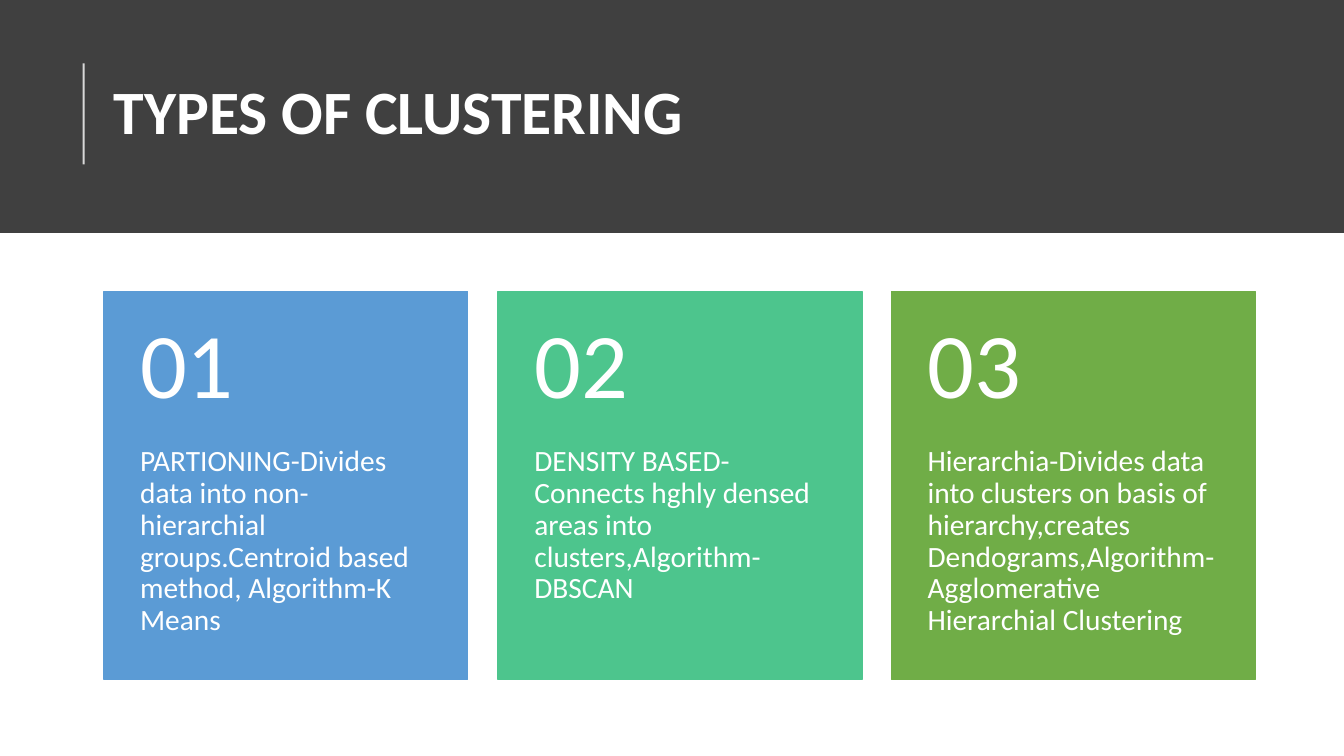
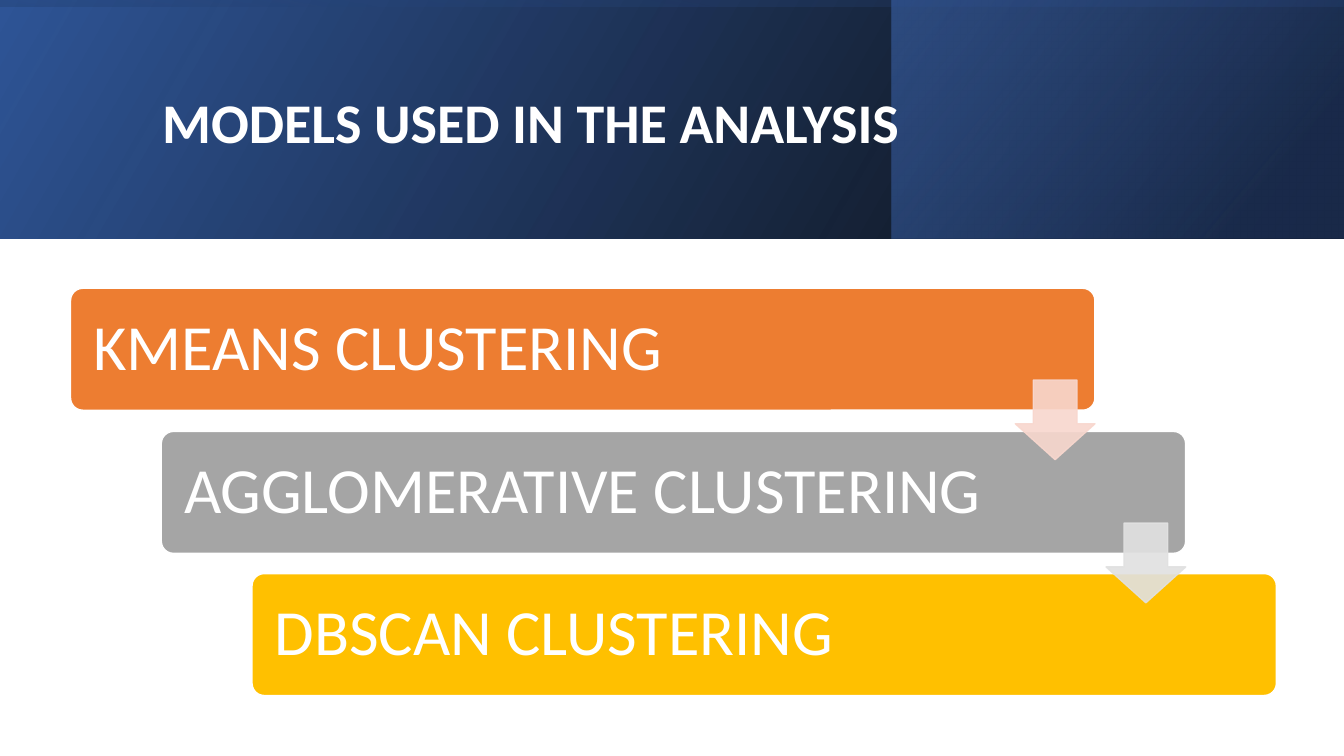
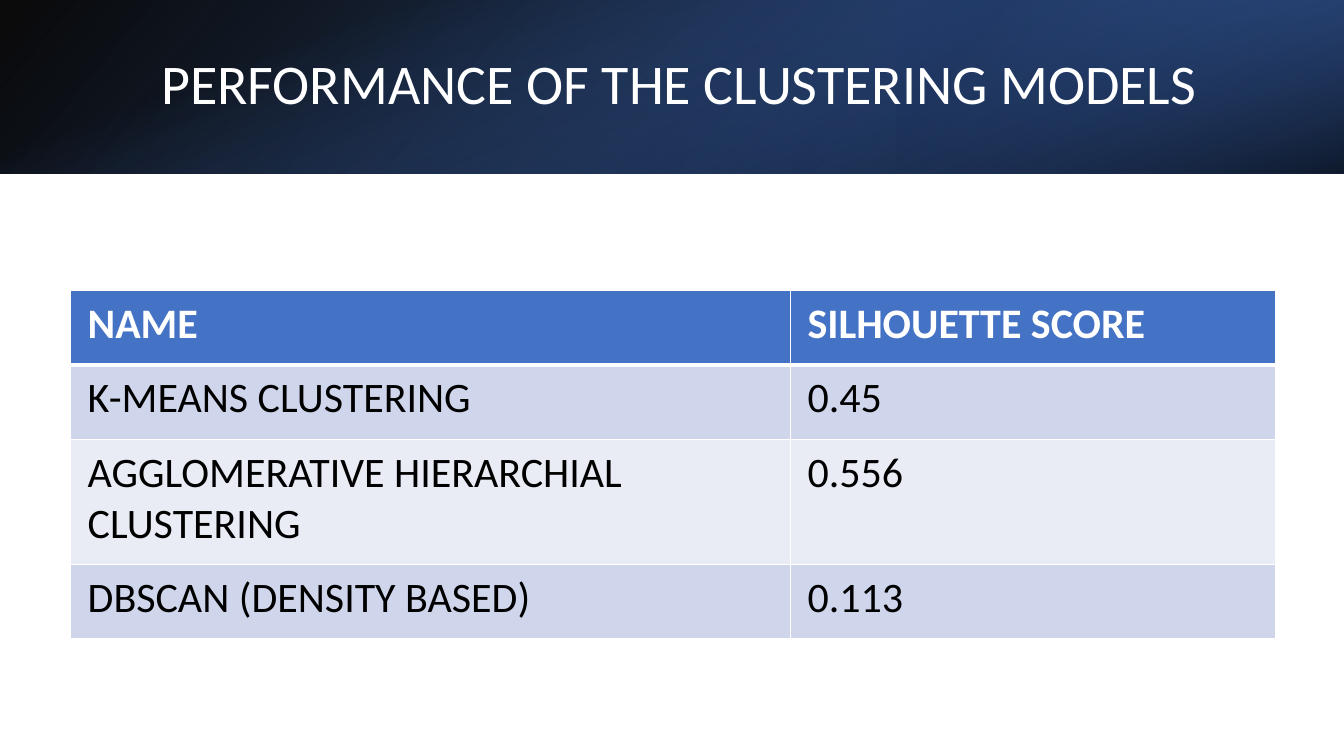
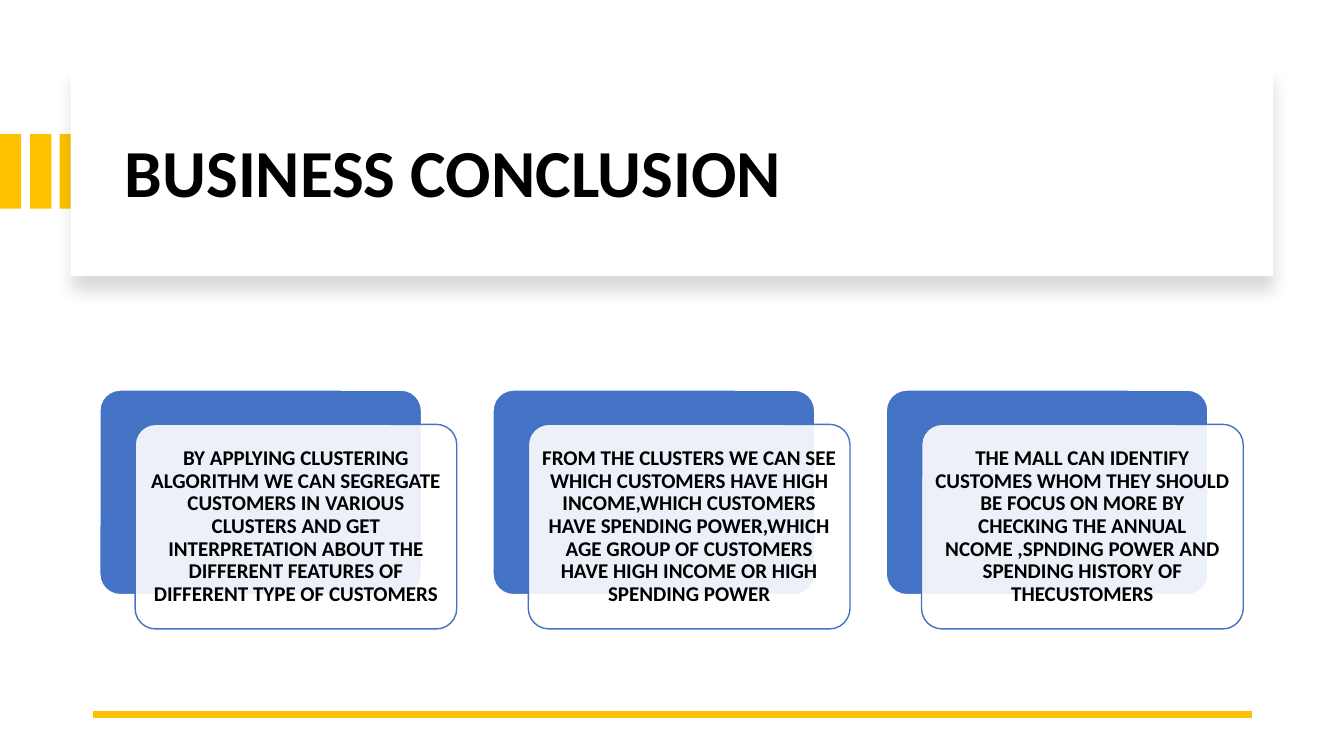
from lxml import etree
from pptx import Presentation
from pptx import util as u
from pptx.dml.color import RGBColor
from pptx.enum import shapes, text
from pptx.oxml.ns import qn

PX = 9144  # one hundredth of an inch
WIDE, HIGH = 1333, 750
FONT = "Calibri"
KIND = shapes.MSO_SHAPE

WHITE = RGBColor(0xFF, 0xFF, 0xFF)
BLACK = RGBColor(0x00, 0x00, 0x00)
COAL = RGBColor(0x40, 0x40, 0x40)
SKY = RGBColor(0x5B, 0x9B, 0xD5)
MINT = RGBColor(0x4D, 0xC5, 0x8D)
LEAF = RGBColor(0x70, 0xAD, 0x47)
BLUE = RGBColor(0x44, 0x72, 0xC4)
DEEP = RGBColor(0x2F, 0x55, 0x97)
NAVY = RGBColor(0x20, 0x38, 0x64)
RUST = RGBColor(0xED, 0x7D, 0x31)
GRAY = RGBColor(0xA5, 0xA5, 0xA5)
GOLD = RGBColor(0xFF, 0xC0, 0x00)
BLUSH = RGBColor(0xF8, 0xD7, 0xCE)
MIST = RGBColor(0xE1, 0xE1, 0xE1)
BAND = RGBColor(0xCF, 0xD5, 0xEA)
PALE = RGBColor(0xE9, 0xEB, 0xF5)


def emu(box):
    return [round(v * PX) for v in box]


def spread(start, total, part, count=3):
    """Starts of equal parts that fill a total length."""
    step = (total - part) / (count - 1)
    return [round(start + i * step) for i in range(count)]


def fade(item, *parts):
    """Set the opacity, in percent, of each colour of an item in turn."""
    for clr, part in zip(item._element.spPr.iter(qn("a:srgbClr")), parts):
        etree.SubElement(clr, qn("a:alpha"), val=str(part * 1000))


def shape(slide, box, fill=None, line=None, kind=KIND.RECTANGLE, adj=()):
    item = slide.shapes.add_shape(kind, *emu(box))
    item.shadow.inherit = False
    if fill is not None:
        item.fill.solid()
        item.fill.fore_color.rgb = fill
    if line is None:
        item.line.fill.background()
    else:
        item.line.color.rgb = line
        item.line.width = u.Pt(1)
    for i, val in enumerate(adj):
        item.adjustments[i] = val
    return item


def blend(slide, box, stops, angle, turn=0, flip=True):
    """Rectangle with a gradient of (place, colour, opacity) stops."""
    item = shape(slide, box)
    item.fill.gradient()
    item.fill.gradient_angle = 360 - angle
    for stop, (place, color, _) in zip(item.fill.gradient_stops, stops):
        stop.position = place / 100
        stop.color.rgb = color
    fade(item, *[part for _, _, part in stops])
    item.rotation = turn
    if flip:
        item._element.spPr.xfrm.set("flipH", "1")


def rule(slide, start, end, color, width):
    item = slide.shapes.add_connector(
        shapes.MSO_CONNECTOR.STRAIGHT, *emu(start + end))
    item.line.color.rgb = color
    item.line.width = u.Pt(width)
    etree.SubElement(item._element.spPr, qn("a:effectLst"))
    return item


def style(para, size, color, bold=False):
    for run in para.runs:
        run.font.name = FONT
        run.font.size = u.Pt(size)
        run.font.bold = bold
        run.font.color.rgb = color


def inset(host, margins):
    (host.margin_left, host.margin_top,
     host.margin_right, host.margin_bottom) = emu(margins)


def write(item, words, size, color=WHITE, bold=False, margins=(10, 5, 10, 5),
          anchor=text.MSO_ANCHOR.MIDDLE, align=text.PP_ALIGN.LEFT):
    frame = item.text_frame
    frame.word_wrap = True
    frame.vertical_anchor = anchor
    inset(frame, margins)
    frame.text = words
    para = frame.paragraphs[0]
    para.alignment = align
    para.line_spacing = 0.9
    style(para, size, color, bold)


def label(slide, box, words, size, **look):
    write(slide.shapes.add_textbox(*emu(box)), words, size, **look)


def card(slide, box, num, words, color):
    x, y, w, h = box
    top = round(h * 0.4)
    shape(slide, box, color, color)
    label(slide, (x, y + top, w, h - top), words, 21,
          margins=(36, 0, 36, 36), anchor=text.MSO_ANCHOR.TOP)
    label(slide, (x, y, w, top), num, 66, margins=(36, 18, 36, 18))


def types(slide):
    shape(slide, (0, 0, WIDE, 231), COAL)
    label(slide, (103, 41, 1142, 145), "TYPES OF CLUSTERING", 44, bold=True)
    fade(rule(slide, (83, 163), (83, 63), WHITE, 1.5), 80)
    cards = [
        ("PARTIONING-Divides data into non-hierarchial groups."
         "Centroid based method, Algorithm-K Means", SKY),
        ("DENSITY BASED-Connects hghly densed areas into clusters,"
         "Algorithm-DBSCAN", MINT),
        ("Hierarchia-Divides data into clusters on basis of hierarchy,"
         "creates Dendograms,Algorithm-Agglomerative Hierarchial Clustering",
         LEAF),
    ]
    lefts = spread(103, 1142, 361)
    for i, (x, (words, color)) in enumerate(zip(lefts, cards), 1):
        card(slide, (x, 289, 361, 385), f"{i:02}", words, color)


def header(slide, high, side, angle, last, cover, turn, tilt, flip):
    """Band of three gradients: base, right side and a turned cover."""
    blend(slide, (0, 0, WIDE, high), [(0, BLACK, 96), (100, DEEP, 100)], angle)
    blend(slide, (side, 0, WIDE - side, high),
          [(19, NAVY, 68), (100, BLUE, last)], 320, 0 if flip else 180)
    shift = (WIDE - high) / 2
    blend(slide, (shift, -shift, high, WIDE), cover, tilt, turn, flip)


def steps(slide, box):
    x, y, w, h = box
    wide, high = 1016, 121
    bars = [("KMEANS CLUSTERING", RUST),
            ("AGGLOMERATIVE CLUSTERING", GRAY),
            ("DBSCAN CLUSTERING", GOLD)]
    spots = list(zip(spread(x, w, wide), spread(y, h, high)))
    for (left, top), (words, color) in zip(spots, bars):
        bar = shape(slide, (left, top, wide, high), color, WHITE,
                    KIND.ROUNDED_RECTANGLE, [0.1])
        write(bar, words, 46, margins=(19, 19, 19, 19))
    for (left, top), color in zip(spots, (BLUSH, MIST)):
        arrow = shape(slide, (left + wide - 79, top + 91, 79, 79), color,
                      color, KIND.DOWN_ARROW, [0.55, 0.45])
        fade(arrow, 90, 90)


def models(slide):
    header(slide, 237, 884, 330, 48,
           [(23, DEEP, 16), (99, BLACK, 45)], 270, 350, True)
    label(slide, (151, 38, 1063, 172), "MODELS USED IN THE ANALYSIS", 40,
          bold=True)
    steps(slide, (70, 286, 1196, 404))


def border(cell, low):
    props = cell._tc.get_or_add_tcPr()
    for side, width in (("L", 1), ("R", 1), ("T", 1), ("B", low)):
        line = etree.SubElement(props, qn("a:ln" + side),
                                w=str(u.Pt(width)))
        fill = etree.SubElement(line, qn("a:solidFill"))
        etree.SubElement(fill, qn("a:srgbClr"), val=str(WHITE))


def scores(slide, box):
    rows = [("NAME", "SILHOUETTE SCORE"),
            ("K-MEANS CLUSTERING", "0.45"),
            ("AGGLOMERATIVE HIERARCHIAL CLUSTERING", "0.556"),
            ("DBSCAN (DENSITY BASED)", "0.113")]
    table = slide.shapes.add_table(len(rows), 2, *emu(box)).table
    for col, wide in zip(table.columns, emu((714, 481))):
        col.width = wide
    for row, high in zip(table.rows, emu((74, 74, 124, 74))):
        row.height = high
    for r, row in enumerate(rows):
        head = r == 0
        for c, words in enumerate(row):
            cell = table.cell(r, c)
            border(cell, 3 if head else 1)
            cell.fill.solid()
            cell.fill.fore_color.rgb = BLUE if head else (PALE, BAND)[r % 2]
            inset(cell, (17, 8, 17, 8))
            cell.text_frame.text = words
            style(cell.text_frame.paragraphs[0], 30,
                  WHITE if head else BLACK, head)


def results(slide):
    header(slide, 172, 889, 140, 79,
           [(23, BLUE, 0), (99, BLACK, 74)], 90, 340, False)
    label(slide, (150, 38, 1098, 96),
          "PERFORMANCE OF THE CLUSTERING MODELS", 40)
    scores(slide, (70, 288, 1195, 346))


def panel(slide, box):
    """White plate with a soft shadow below it."""
    item = shape(slide, box, WHITE)
    glow = etree.SubElement(
        item._element.spPr.find(qn("a:effectLst")), qn("a:outerShdw"),
        blurRad=str(u.Pt(11)), dist=str(u.Pt(10)), dir="5400000",
        algn="t", rotWithShape="0")
    clr = etree.SubElement(glow, qn("a:srgbClr"), val=str(BLACK))
    etree.SubElement(clr, qn("a:alpha"), val="15000")


def note(slide, box, words):
    x, y, w, h = box
    wide, high = w - 35, h - 34
    shape(slide, (x, y, wide, high), BLUE, WHITE,
          KIND.ROUNDED_RECTANGLE, [0.1])
    front = shape(slide, (x + 35, y + 34, wide, high), WHITE, BLUE,
                  KIND.ROUNDED_RECTANGLE, [0.1])
    fade(front, 90)
    write(front, words, 15, BLACK, True, (6, 6, 6, 6),
          align=text.PP_ALIGN.CENTER)


def close(slide):
    for x in spread(0, 80, 21):
        shape(slide, (x, 133, 21, 74), GOLD)
    panel(slide, (70, 67, 1193, 207))
    label(slide, (114, 89, 1113, 170), "BUSINESS CONCLUSION", 48,
          color=BLACK, bold=True)
    rule(slide, (1242, 709), (92, 709), GOLD, 4.5)
    notes = [
        "BY APPLYING CLUSTERING ALGORITHM WE CAN SEGREGATE CUSTOMERS IN "
        "VARIOUS CLUSTERS AND GET INTERPRETATION ABOUT THE DIFFERENT "
        "FEATURES OF DIFFERENT TYPE OF CUSTOMERS",
        "FROM THE CLUSTERS WE CAN SEE WHICH CUSTOMERS HAVE HIGH INCOME,"
        "WHICH CUSTOMERS HAVE SPENDING POWER,WHICH AGE GROUP OF CUSTOMERS "
        "HAVE HIGH INCOME OR HIGH SPENDING POWER",
        "THE MALL CAN IDENTIFY CUSTOMES WHOM THEY SHOULD BE FOCUS ON MORE "
        "BY CHECKING THE ANNUAL NCOME ,SPNDING POWER AND SPENDING HISTORY "
        "OF THECUSTOMERS",
    ]
    for x, words in zip(spread(99, 1134, 354), notes):
        note(slide, (x, 387, 354, 237), words)


def main():
    deck = Presentation()
    deck.slide_width, deck.slide_height = emu((WIDE, HIGH))
    for build in (types, models, results, close):
        build(deck.slides.add_slide(deck.slide_layouts[6]))
    deck.save("out.pptx")


if __name__ == "__main__":
    main()
